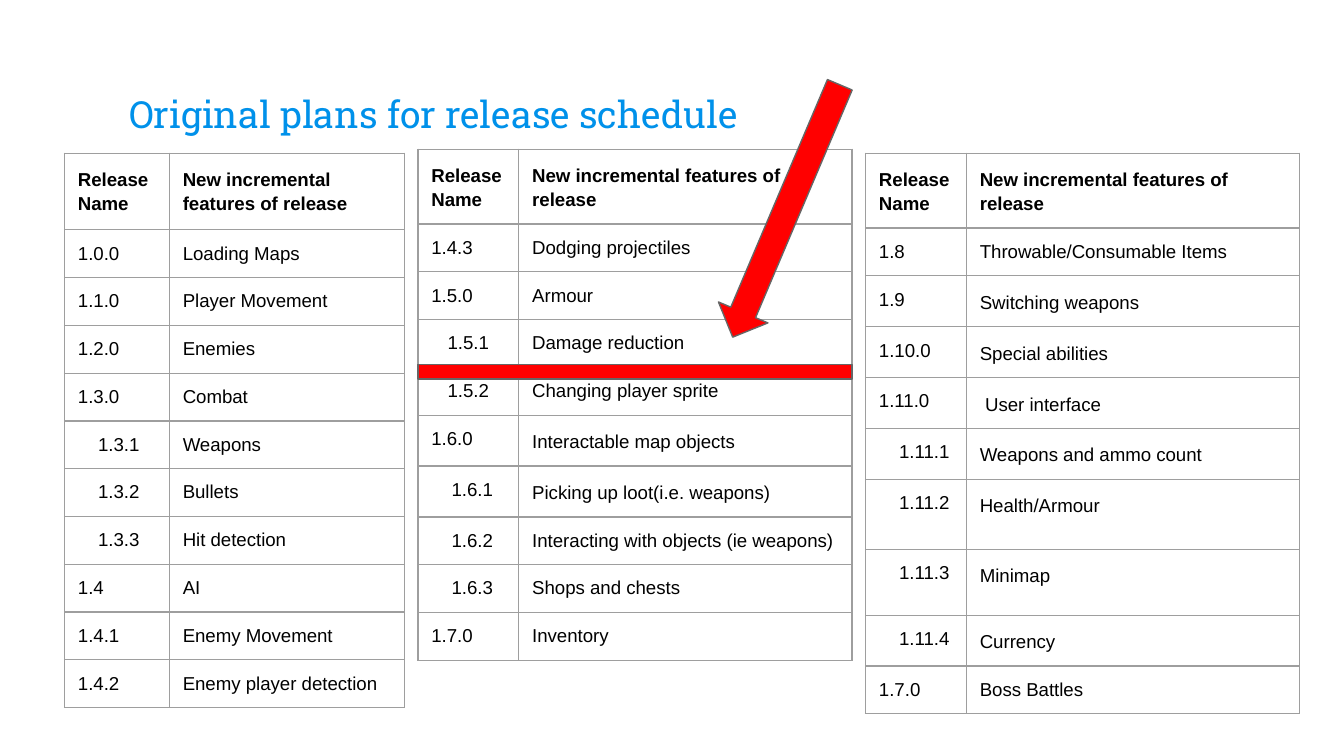
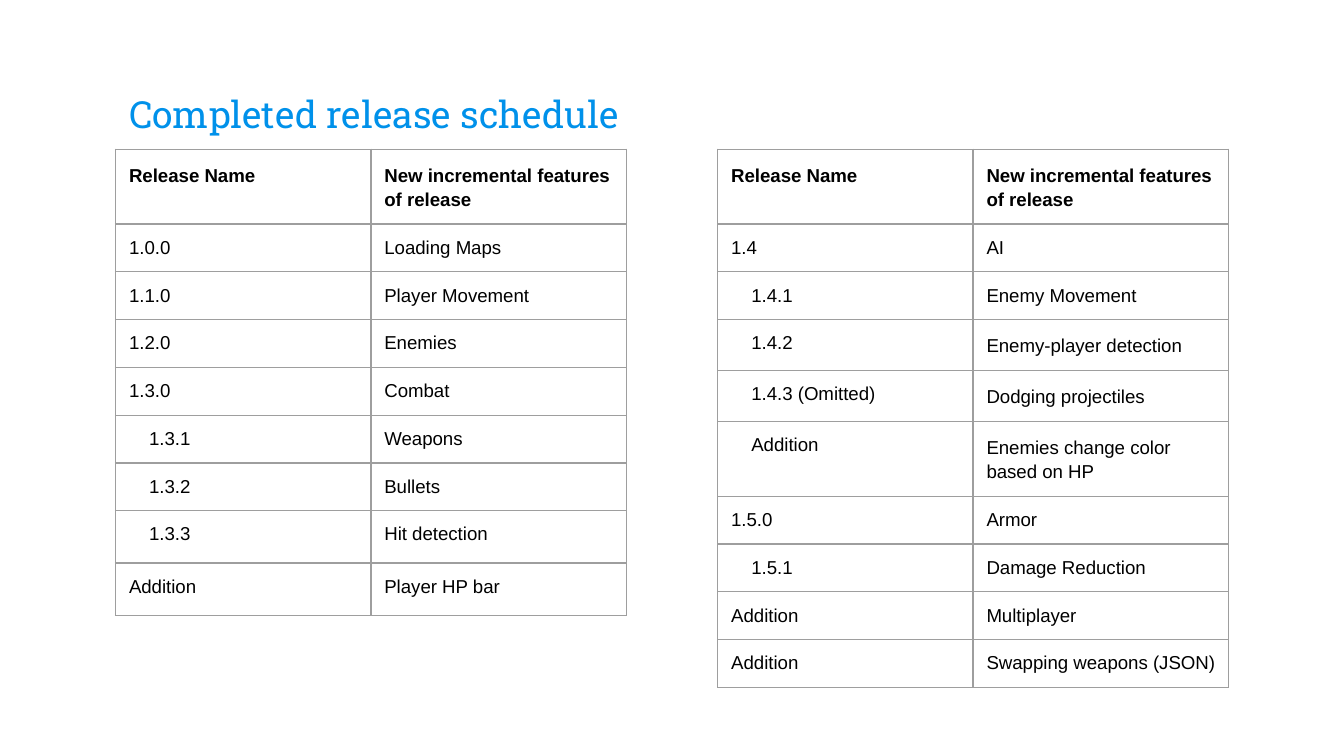
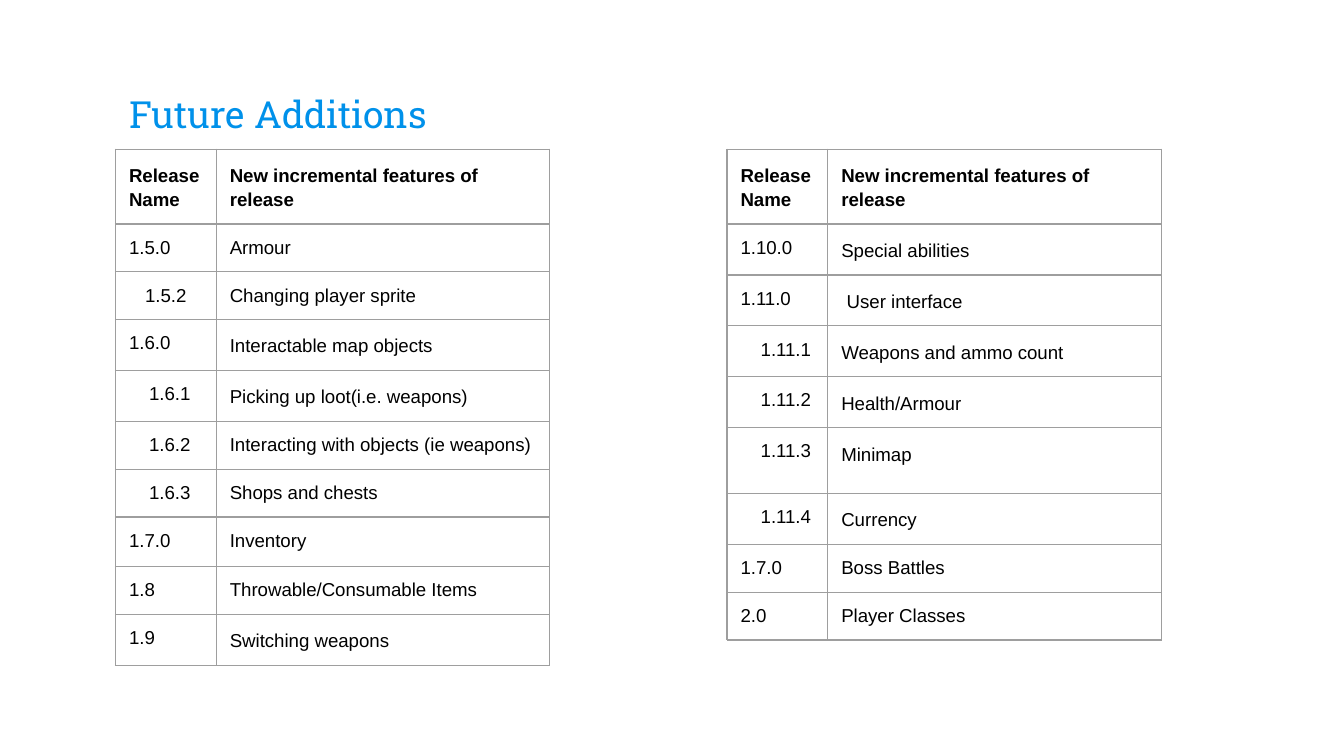
from dataclasses import dataclass, field
from typing import NamedTuple

from lxml import etree
from pptx import Presentation
from pptx.dml.color import RGBColor
from pptx.enum.shapes import MSO_SHAPE
from pptx.enum.text import MSO_ANCHOR, MSO_AUTO_SIZE, PP_ALIGN
from pptx.oxml.ns import qn
from pptx.util import Inches, Pt

BLUE = RGBColor(0x00, 0x91, 0xEA)
BLACK = RGBColor(0x00, 0x00, 0x00)
RED = RGBColor(0xFF, 0x00, 0x00)
SHAPE_EDGE = RGBColor(0x66, 0x66, 0x66)
GRID = RGBColor(0x9E, 0x9E, 0x9E)

ARROW = MSO_SHAPE.RIGHT_ARROW
BAR = MSO_SHAPE.RECTANGLE
LEFT = PP_ALIGN.LEFT
BOTTOM = MSO_ANCHOR.BOTTOM
TOP = MSO_ANCHOR.TOP
NO_AUTOFIT = MSO_AUTO_SIZE.NONE

SLIDE_WIDTH = Inches(10)
SLIDE_HEIGHT = SLIDE_WIDTH * 9 // 16
TITLE_FONT = "Roboto Slab"
TABLE_FONT = "Arial"
TITLE_ONLY = 5
PADDING = Inches(0.1)
THIN = Pt(0.75)
LOOSE = 1.15
TIGHT = 1.0
SUB = 0.15
SMALL_SUB = 0.12
TABLE_TOP = 1.11
NARROW_COLUMNS = (0.75, 2.48)
EVEN_COLUMNS = (1.9, 1.9)


class Release(NamedTuple):
    name: str
    feature: str
    indent: float = 0
    spacing: float = TIGHT
    feature_indent: float = 0


@dataclass
class Schedule:
    left: float
    releases: list[Release]
    columns: tuple[float, float] = NARROW_COLUMNS
    top: float = TABLE_TOP
    header_height: float = 0.51
    row_height: float = 0.33
    tall_rows: dict[str, float] = field(default_factory=dict)


class Marker(NamedTuple):
    kind: int
    left: float
    top: float
    width: float
    height: float
    rotation: float = 0


@dataclass
class Page:
    title: str
    schedules: list[Schedule]
    markers: list[Marker] = field(default_factory=list)


HEADER = Release("Release Name", "New incremental features of release", spacing=LOOSE)

BASICS = [
    Release("1.0.0", "Loading Maps"),
    Release("1.1.0", "Player Movement"),
    Release("1.2.0", "Enemies"),
    Release("1.3.0", "Combat"),
    Release("1.3.1", "Weapons", SUB),
    Release("1.3.2", "Bullets", SUB),
    Release("1.3.3", "Hit detection", SUB),
]
ENEMY_AI = [
    Release("1.4", "AI"),
    Release("1.4.1", "Enemy Movement"),
    Release("1.4.2", "Enemy player detection"),
]
ARMOUR = Release("1.5.0", "Armour")
OBJECTS = [
    Release("1.5.2", "Changing player sprite", SMALL_SUB),
    Release("1.6.0", "Interactable map objects", spacing=LOOSE),
    Release("1.6.1", "Picking up loot(i.e. weapons)", SUB, LOOSE),
    Release("1.6.2", "Interacting with objects (ie weapons)", SUB),
    Release("1.6.3", "Shops and chests", SUB),
    Release("1.7.0", "Inventory"),
]
ITEMS = [
    Release("1.8", "Throwable/Consumable Items"),
    Release("1.9", "Switching weapons", spacing=LOOSE),
]
INTERFACE = [
    Release("1.10.0", "Special abilities", spacing=LOOSE),
    Release("1.11.0", "User interface", spacing=LOOSE, feature_indent=0.04),
    Release("1.11.1", "Weapons and ammo count", SUB, LOOSE),
    Release("1.11.2", "Health/Armour", SUB, LOOSE),
    Release("1.11.3", "Minimap", SUB, LOOSE),
    Release("1.11.4", "Currency", SUB, LOOSE),
    Release("1.7.0", "Boss Battles"),
]
DEFENCE = [
    Release("1.4.3", "Dodging projectiles"),
    ARMOUR,
    Release("1.5.1", "Damage reduction", SMALL_SUB),
]
COMPLETED_LATER = [
    Release("1.4", "AI"),
    Release("1.4.1", "Enemy Movement", SUB),
    Release("1.4.2", "Enemy-player detection", SUB, LOOSE),
    Release("1.4.3 (Omitted)", "Dodging projectiles", SUB, LOOSE),
    Release("Addition", "Enemies change color based on HP", SUB, LOOSE),
    Release("1.5.0", "Armor"),
    Release("1.5.1", "Damage Reduction", SUB),
    Release("Addition", "Multiplayer"),
    Release("Addition", "Swapping weapons (JSON)"),
]

PAGES = [
    Page(
        "Original plans for release schedule",
        [
            Schedule(0.48, BASICS + ENEMY_AI, (0.78, 1.75), 1.14, 0.57, 0.35),
            Schedule(3.11, DEFENCE + OBJECTS),
            Schedule(6.44, ITEMS + INTERFACE, top=1.14,
                     tall_rows={"1.11.2": 0.52, "1.11.3": 0.49}),
        ],
        [
            Marker(ARROW, 4.83, 1.37, 2.04, 0.4, 113),
            Marker(BAR, 3.11, 2.71, 3.23, 0.11),
        ],
    ),
    Page(
        "Completed release schedule",
        [
            Schedule(0.86, BASICS + [Release("Addition", "Player HP bar")], EVEN_COLUMNS,
                     tall_rows={"1.3.3": 0.39, "Addition": 0.39}),
            Schedule(5.34, COMPLETED_LATER, EVEN_COLUMNS),
        ],
    ),
    Page(
        "Future Additions",
        [
            Schedule(0.86, [ARMOUR] + OBJECTS + ITEMS, tall_rows={"1.7.0": 0.37}),
            Schedule(5.41, INTERFACE + [Release("2.0", "Player Classes")],
                     tall_rows={"1.11.3": 0.49}),
        ],
    ),
]


def pad(target) -> None:
    target.margin_left = target.margin_right = PADDING
    target.margin_top = target.margin_bottom = PADDING


def format_runs(para, font_name: str, size: float, color: RGBColor, bold: bool) -> None:
    for span in para.runs:
        span.font.name = font_name
        span.font.size = Pt(size)
        span.font.bold = bold
        span.font.color.rgb = color


def draw_title(slide, title: str) -> None:
    box = slide.shapes.title
    box.left, box.top = Inches(0.86), Inches(0.34)
    box.width, box.height = Inches(8.28), Inches(0.77)
    frame = box.text_frame
    frame.text = title
    frame.word_wrap = True
    frame.auto_size = NO_AUTOFIT
    frame.vertical_anchor = BOTTOM
    pad(frame)
    para = frame.paragraphs[0]
    para.alignment = LEFT
    format_runs(para, TITLE_FONT, 20, BLUE, False)


def draw_borders(cell) -> None:
    properties = cell._tc.get_or_add_tcPr()
    for side in ("lnL", "lnR", "lnT", "lnB"):
        line = etree.SubElement(properties, qn(f"a:{side}"), w=str(int(THIN)))
        fill = etree.SubElement(line, qn("a:solidFill"))
        etree.SubElement(fill, qn("a:srgbClr"), val=str(GRID))


def fill_cell(cell, text: str, indent: float, spacing: float, bold: bool) -> None:
    cell.text_frame.text = text
    cell.vertical_anchor = TOP
    pad(cell)
    draw_borders(cell)
    cell.fill.background()
    para = cell.text_frame.paragraphs[0]
    para.alignment = LEFT
    para.line_spacing = spacing
    if indent:
        para._p.get_or_add_pPr().set("marL", str(int(Inches(indent))))
    format_runs(para, TABLE_FONT, 10, BLACK, bold)


def draw_schedule(slide, schedule: Schedule) -> None:
    rows = [HEADER] + schedule.releases
    heights = [schedule.header_height] + [
        schedule.tall_rows.get(release.name, schedule.row_height)
        for release in schedule.releases
    ]
    table = slide.shapes.add_table(
        len(rows), 2, Inches(schedule.left), Inches(schedule.top),
        Inches(sum(schedule.columns)), Inches(sum(heights)),
    ).table
    table.first_row = False
    table.horz_banding = False
    for column, width in zip(table.columns, schedule.columns):
        column.width = Inches(width)
    for row, height, release in zip(table.rows, heights, rows):
        row.height = Inches(height)
        bold = release is HEADER
        name_spacing = LOOSE if bold else TIGHT
        name_cell, feature_cell = row.cells
        fill_cell(name_cell, release.name, release.indent, name_spacing, bold)
        fill_cell(feature_cell, release.feature, release.feature_indent,
                  release.spacing, bold)


def draw_marker(slide, marker: Marker) -> None:
    shape = slide.shapes.add_shape(
        marker.kind, Inches(marker.left), Inches(marker.top),
        Inches(marker.width), Inches(marker.height),
    )
    shape.rotation = marker.rotation
    shape.shadow.inherit = False
    shape.fill.solid()
    shape.fill.fore_color.rgb = RED
    shape.line.color.rgb = SHAPE_EDGE
    shape.line.width = THIN


def main() -> None:
    deck = Presentation()
    deck.slide_width = SLIDE_WIDTH
    deck.slide_height = SLIDE_HEIGHT
    for page in PAGES:
        slide = deck.slides.add_slide(deck.slide_layouts[TITLE_ONLY])
        draw_title(slide, page.title)
        for schedule in page.schedules:
            draw_schedule(slide, schedule)
        for marker in page.markers:
            draw_marker(slide, marker)
    deck.save("out.pptx")


if __name__ == "__main__":
    main()
